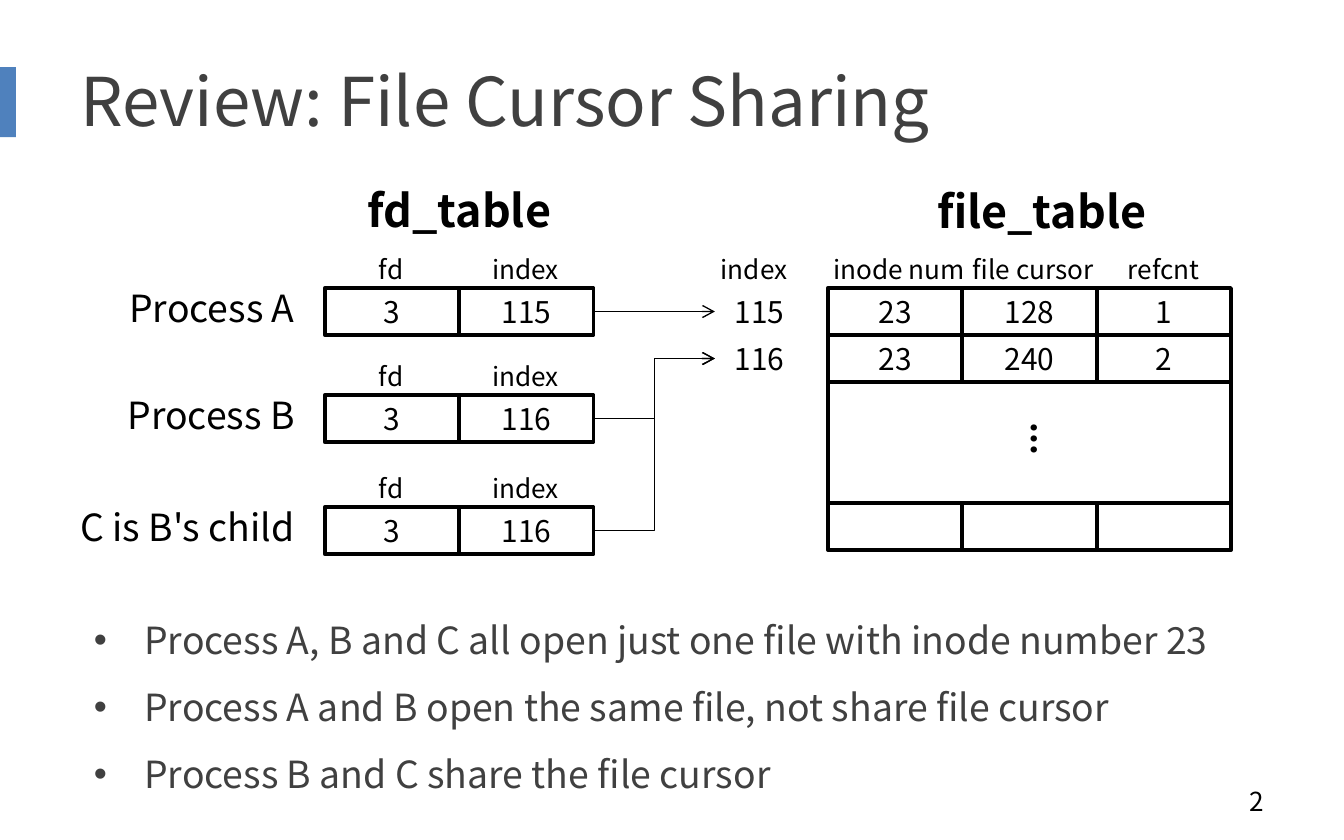
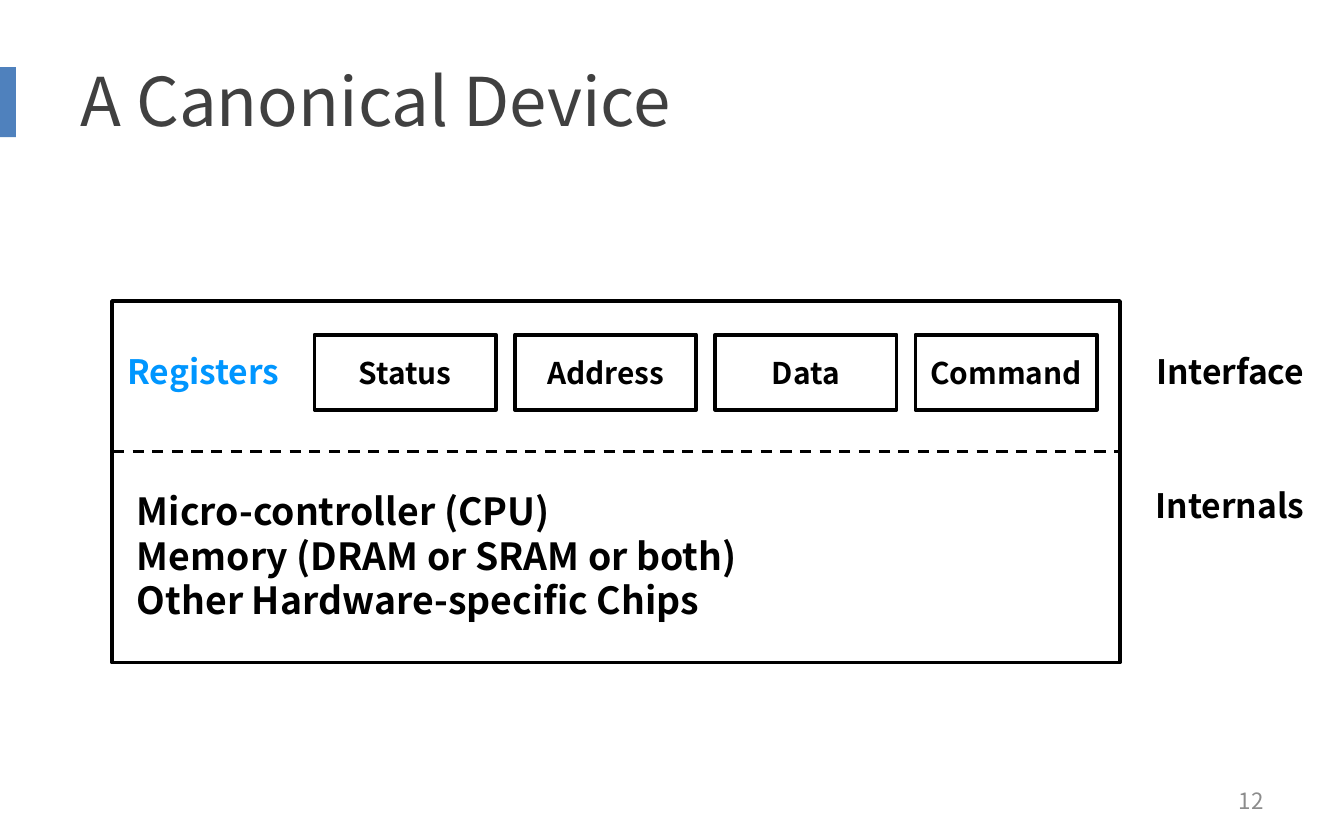
from lxml import etree
from pptx import Presentation
from pptx.dml.color import RGBColor
from pptx.enum.dml import MSO_LINE
from pptx.enum.shapes import MSO_CONNECTOR, MSO_SHAPE
from pptx.enum.text import MSO_ANCHOR, PP_ALIGN
from pptx.oxml.ns import qn
from pptx.util import Pt

RECTANGLE = MSO_SHAPE.RECTANGLE
STRAIGHT, ELBOW = MSO_CONNECTOR.STRAIGHT, MSO_CONNECTOR.ELBOW
DASH = MSO_LINE.DASH
LEFT, CENTER, RIGHT = PP_ALIGN.LEFT, PP_ALIGN.CENTER, PP_ALIGN.RIGHT
TOP, MIDDLE = MSO_ANCHOR.TOP, MSO_ANCHOR.MIDDLE

FONT = "Noto Sans CJK SC"
BLACK = RGBColor(0x00, 0x00, 0x00)
DARK_GRAY = RGBColor(0x40, 0x40, 0x40)
PAGE_GRAY = RGBColor(0x8C, 0x8C, 0x8C)
ACCENT_BLUE = RGBColor(0x4F, 0x81, 0xBD)
REGISTER_BLUE = RGBColor(0x00, 0x96, 0xFF)


def add_text(page, text, left, top, width, height, size, color=BLACK,
             bold=False, align=CENTER, anchor=TOP, framed=False):
    """Add text in a plain box, or in a black frame."""
    area = Pt(left), Pt(top), Pt(width), Pt(height)
    if framed:
        box = page.shapes.add_shape(RECTANGLE, *area)
        box.shadow.inherit = False
        box.fill.background()
        box.line.color.rgb = BLACK
        box.line.width = Pt(2)
    else:
        box = page.shapes.add_textbox(*area)
    frame = box.text_frame
    frame.word_wrap = True
    frame.vertical_anchor = anchor
    frame.text = text
    for para in frame.paragraphs:
        para.alignment = align
        for span in para.runs:
            span.font.name = FONT
            span.font.size = Pt(size)
            span.font.bold = bold
            span.font.color.rgb = color
    return box


def add_line(page, kind, x1, y1, x2, y2, width):
    """Add a black connector without a shadow."""
    line = page.shapes.add_connector(kind, Pt(x1), Pt(y1), Pt(x2), Pt(y2))
    line.line.color.rgb = BLACK
    line.line.width = Pt(width)
    etree.SubElement(line._element.spPr, qn("a:effectLst"))
    return line


deck = Presentation()
deck.slide_width = Pt(720)
deck.slide_height = Pt(450)

# Shared parts: accent bar, title, page number
pages = []
for title, number, number_size, number_color in (
    ("Review: File Cursor Sharing", "2", 14, BLACK),
    ("A Canonical Device", "12", 12, PAGE_GRAY),
):
    page = deck.slides.add_slide(deck.slide_layouts[6])
    bar = page.shapes.add_shape(RECTANGLE, Pt(-4.5), Pt(36), Pt(13), Pt(37.5))
    bar.shadow.inherit = False
    bar.fill.solid()
    bar.fill.fore_color.rgb = ACCENT_BLUE
    bar.line.fill.background()
    add_text(page, title, 36, 18, 648, 70.5, 36, DARK_GRAY,
             align=LEFT, anchor=MIDDLE)
    add_text(page, number, 516, 417, 168, 24, number_size, number_color,
             align=RIGHT, anchor=MIDDLE)
    pages.append(page)
sharing_page, device_page = pages

# Slide 1: table measures
CELL_WIDTH, ROW_HEIGHT = 72, 25.2
FD_LEFT, FILE_LEFT, INDEX_LEFT = 174, 443.5, 383
FIRST_ROW = 154.3
LAST_ROW = 269.4
fd_right = FD_LEFT + 2 * CELL_WIDTH
file_right = FILE_LEFT + 3 * CELL_WIDTH
add_text(sharing_page, "fd_table", 150, 94.5, 192, 36, 24, bold=True)
add_text(sharing_page, "file_table", 462, 95, 192, 36, 24, bold=True)

# Descriptor rows, each with an arrow to its file_table row
for process, index, top, target_row in (
    ("Process A", "115", FIRST_ROW, 0),
    ("Process B", "116", 211.7, 1),
    ("C is B's child", "116", 271.7, 1),
):
    add_text(sharing_page, process, 23, top - 5, 142, 31.7, 20, align=RIGHT)
    for column, (heading, value) in enumerate((("fd", "3"), ("index", index))):
        left = FD_LEFT + column * CELL_WIDTH
        add_text(sharing_page, heading, left + 8, top - 22.3, 55, 24.5, 14)
        add_text(sharing_page, value, left, top, CELL_WIDTH, ROW_HEIGHT, 16,
                 anchor=MIDDLE, framed=True)
    middle = ROW_HEIGHT / 2
    target = FIRST_ROW + target_row * ROW_HEIGHT + middle
    arrow = add_line(sharing_page, ELBOW, fd_right, top + middle,
                     INDEX_LEFT, target, 0.75)
    etree.SubElement(arrow.line._get_or_add_ln(), qn("a:tailEnd"), type="arrow")

# File table
for heading, left, width in (("index", 376.5, 55), ("inode num", 439.2, 85),
                             ("file cursor", 514, 85), ("refcnt", 581, 85)):
    align = CENTER if heading in ("index", "refcnt") else LEFT
    add_text(sharing_page, heading, left, 132.3, width, 24.5, 14, align=align)
for row, index in enumerate(("115", "116")):
    add_text(sharing_page, index, INDEX_LEFT, FIRST_ROW + row * ROW_HEIGHT,
             48, ROW_HEIGHT, 16, anchor=MIDDLE)
for top, values in ((FIRST_ROW, ("23", "128", "1")),
                    (FIRST_ROW + ROW_HEIGHT, ("23", "240", "2")),
                    (LAST_ROW, ("", "", ""))):
    for column, value in enumerate(values):
        add_text(sharing_page, value, FILE_LEFT + column * CELL_WIDTH, top,
                 CELL_WIDTH, ROW_HEIGHT, 16, anchor=MIDDLE, framed=True)
for edge in (FILE_LEFT, file_right):
    add_line(sharing_page, STRAIGHT, edge, FIRST_ROW + 2 * ROW_HEIGHT,
             edge, LAST_ROW, 2)
dots = add_text(sharing_page, "...", 542, 222.5, 35.3, 29, 18, bold=True,
                align=LEFT)
dots.rotation = 90

# Bulleted summary
summary = add_text(
    sharing_page,
    "Process A, B and C all open just one file with inode number 23\n"
    "Process A and B open the same file, not share file cursor\n"
    "Process B and C share the file cursor",
    43.2, 327, 654, 93, 20, DARK_GRAY, align=LEFT)
for position, para in enumerate(summary.text_frame.paragraphs):
    properties = para._p.get_or_add_pPr()
    properties.set("marL", str(Pt(27)))
    properties.set("indent", str(Pt(-27)))
    etree.SubElement(properties, qn("a:buFont"), typeface="Arial")
    etree.SubElement(properties, qn("a:buChar"), char="•")
    if position:
        para.space_before = Pt(12)

# Slide 2: device outline, split into interface and internals
add_text(device_page, "", 60, 161.3, 540, 193.7, 16, framed=True)
divider = add_line(device_page, STRAIGHT, 60.5, 242, 599, 242, 1.5)
divider.line.dash_style = DASH

# Registers
for column, register in enumerate(("Status", "Address", "Data", "Command")):
    add_text(device_page, register, 168.5 + column * 107.3, 179.3, 97.2, 40.3,
             16, bold=True, anchor=MIDDLE, framed=True)

# Labels
for label, left, top, color in (("Registers", 60.5, 178.6, REGISTER_BLUE),
                                ("Interface", 610.5, 178.6, BLACK),
                                ("Internals", 610.5, 250.6, BLACK)):
    add_text(device_page, label, left, top, 97, 40.3, 18, color, bold=True,
             anchor=MIDDLE)

# Internals
add_text(device_page,
         "Micro-controller (CPU)\n"
         "Memory (DRAM or SRAM or both)\n"
         "Other Hardware-specific Chips",
         66.3, 250.6, 521, 93.6, 20, bold=True, align=LEFT, anchor=MIDDLE)

deck.save("out.pptx")
